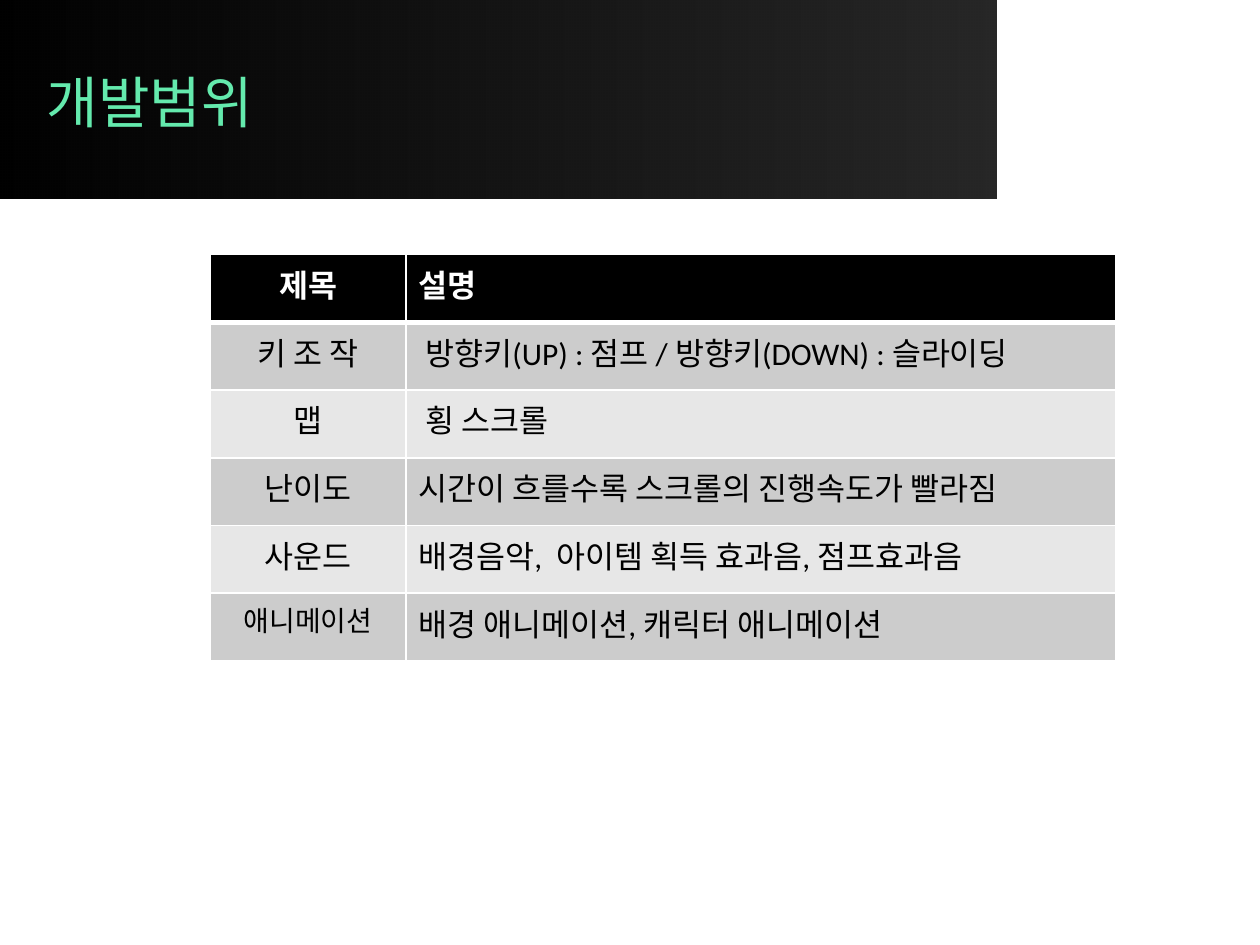
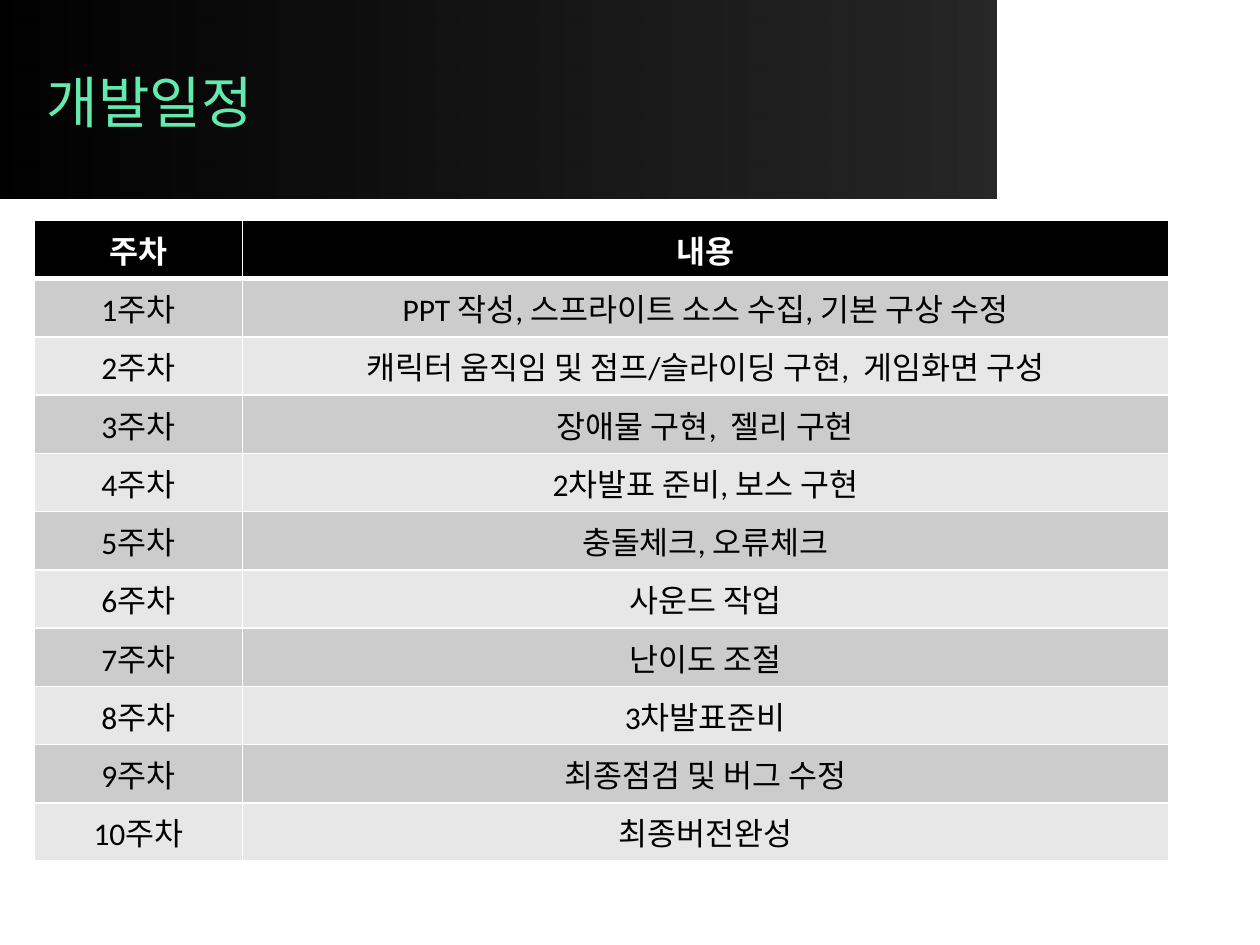
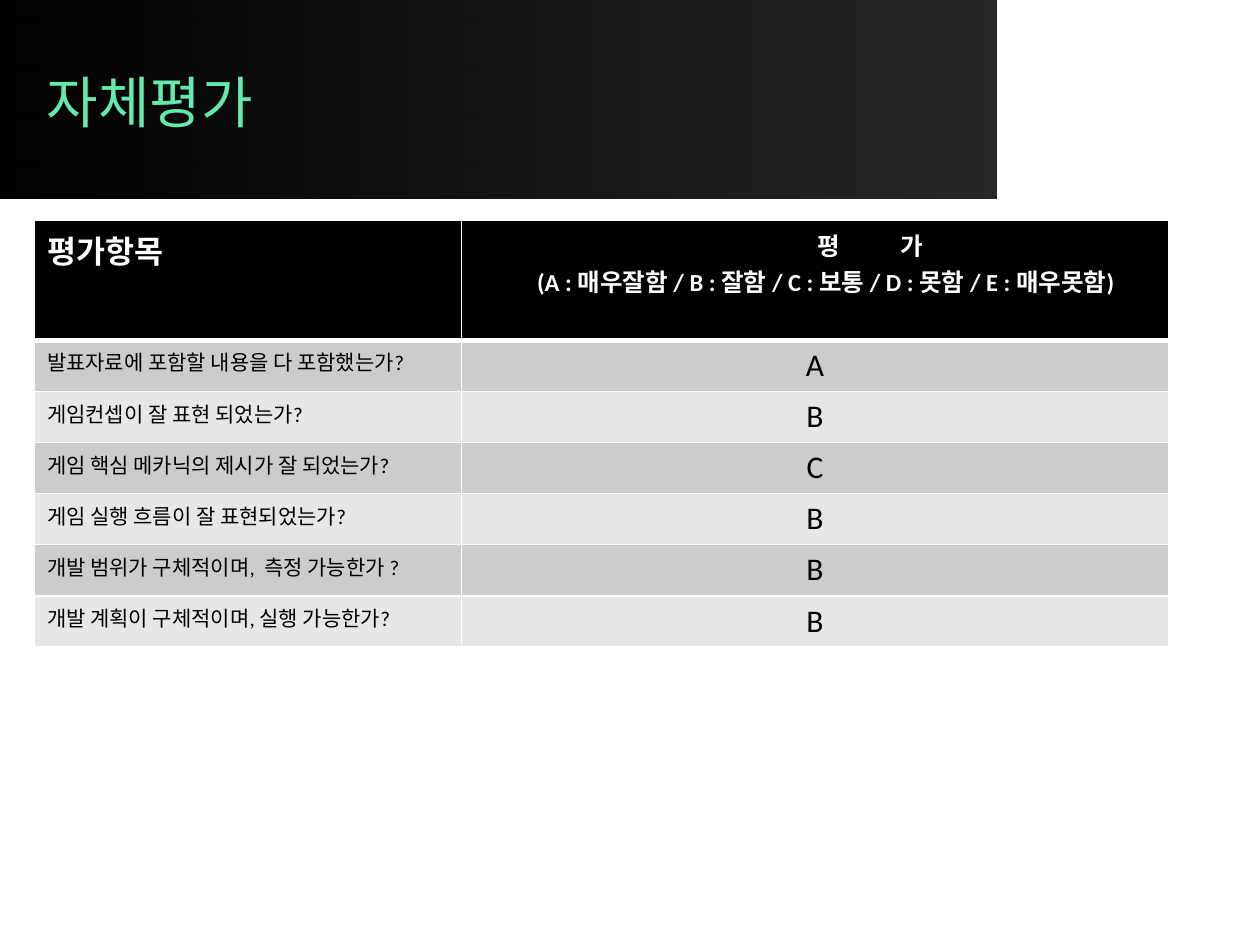
from lxml import etree
from pptx import Presentation
from pptx.dml.color import RGBColor
from pptx.enum import shapes, text
from pptx.oxml.ns import qn
from pptx.util import Pt

HUES = {"band": "000000", "title": "64EAAD", "head": "000000", "paper": "FFFFFF",
        "ink": "000000", "odd": "CCCCCC", "even": "E7E7E7"}
LEFT, MID = text.PP_ALIGN.LEFT, text.PP_ALIGN.CENTER
BAND = (0, 0, 569.5, 113.2)
TITLE = (19.6, 21.6, 538.6, 72.7)


def hue(name):
    return RGBColor.from_string(HUES[name])


def write(para, words, size, color, bold=False, font="Calibri"):
    run = para.add_run()
    run.text = words
    run.font.size, run.font.bold, run.font.name = Pt(size), bold, font
    run.font.color.rgb = hue(color)
    return run


def add_band(slide, box):
    """Black band that fades slightly to the right, behind the title."""
    band = slide.shapes.add_shape(shapes.MSO_SHAPE.RECTANGLE, *map(Pt, box))
    band.shadow.inherit = False
    band.line.fill.background()
    band.fill.gradient()
    band.fill.gradient_angle = 0
    for stop, place in zip(band.fill.gradient_stops, (0, 1)):
        stop.color.rgb = hue("band")
        stop.position = place
    last = band._element.findall(".//" + qn("a:srgbClr"))[-1]
    etree.SubElement(last, qn("a:alpha")).set("val", "85000")
    slide.shapes._spTree.insert(2, band._element)


def add_slide(deck, words):
    """Title-only slide with the shared band and title style."""
    slide = deck.slides.add_slide(deck.slide_layouts[5])
    add_band(slide, BAND)
    title = slide.shapes.title
    title.left, title.top, title.width, title.height = map(Pt, TITLE)
    frame = title.text_frame
    frame.vertical_anchor = text.MSO_ANCHOR.MIDDLE
    frame.paragraphs[0].alignment = LEFT
    write(frame.paragraphs[0], words, 32, "title", font="Arial")
    return slide


def add_edges(cell, above, below):
    """White cell borders; they come before the fill."""
    props = cell._tc.get_or_add_tcPr()
    for n, (side, wide) in enumerate(zip("LRTB", (1, 1, above, below))):
        line = etree.Element(qn("a:ln" + side), w=str(Pt(wide)))
        fill = etree.SubElement(line, qn("a:solidFill"))
        etree.SubElement(fill, qn("a:srgbClr"), val=HUES["paper"])
        props.insert(n, line)


def add_grid(slide, left, top, cols, high, rows, aligns, sizes=(18, 18)):
    """Banded table; a cell is its words, or a pair of words and size."""
    grid = slide.shapes.add_table(len(rows), len(cols), Pt(left), Pt(top),
                                  Pt(sum(cols)), Pt(high * len(rows))).table
    for col, wide in zip(grid.columns, cols):
        col.width = Pt(wide)
    for r, row in enumerate(rows):
        grid.rows[r].height = Pt(high)
        head = r == 0
        for c, item in enumerate(row):
            cell = grid.cell(r, c)
            cell.fill.solid()
            cell.fill.fore_color.rgb = hue("head" if head else "odd" if r % 2 else "even")
            add_edges(cell, 3 if r == 1 else 1, 3 if head else 1)
            if not item:
                continue
            words, size = item if isinstance(item, tuple) else (item, 18 if head else sizes[c])
            para = cell.text_frame.paragraphs[0]
            para.alignment = aligns[c]
            write(para, words, size, "paper" if head else "ink", head)
    return grid


def add_key(cell):
    """Two-line heading with the grading key, set by first-line indents."""
    top = cell.text_frame.paragraphs[0]
    key = cell.text_frame.add_paragraph()
    for para, indent in ((top, 196), (key, 36)):
        para.alignment = LEFT
        props = para._p.get_or_add_pPr()
        props.set("marL", "0")
        props.set("indent", str(Pt(indent)))
    # Letter spacing sets the two syllables apart
    first = write(top, "평", 14, "paper", True)
    first.font._element.set("spc", "3500")
    write(top, "가", 14, "paper", True)
    write(key, "(A : 매우잘함 / B : 잘함 / C : 보통 / D : 못함 / E : 매우못함)",
          14, "paper", True)


def add_scope(deck):
    slide = add_slide(deck, "개발범위")
    rows = [("제목", "설명"),
            ("키 조 작", " 방향키(UP) : 점프 / 방향키(DOWN) : 슬라이딩"),
            ("맵", " 횡 스크롤"),
            ("난이도", "시간이 흐를수록 스크롤의 진행속도가 빨라짐"),
            ("사운드", "배경음악,  아이템 획득 효과음, 점프효과음"),
            (("애니메이션", 16), "배경 애니메이션, 캐릭터 애니메이션")]
    add_grid(slide, 120.3, 145.5, (111.6, 405.4), 38.7, rows, (MID, LEFT))


def add_plan(deck):
    slide = add_slide(deck, "개발일정")
    tasks = ["PPT 작성, 스프라이트 소스 수집, 기본 구상 수정",
             "캐릭터 움직임 및 점프/슬라이딩 구현,  게임화면 구성",
             "장애물 구현,  젤리 구현", "2차발표 준비, 보스 구현",
             "충돌체크, 오류체크", "사운드 작업", "난이도 조절",
             "3차발표준비", "최종점검 및 버그 수정", "최종버전완성"]
    rows = [("주차", "내용")] + [(f"{n}주차", task) for n, task in enumerate(tasks, 1)]
    add_grid(slide, 19.7, 126, (118.8, 529.2), 29.2, rows, (MID, MID))


def add_review(deck):
    slide = add_slide(deck, "자체평가")
    rows = [("평가항목", ""),
            ("발표자료에 포함할 내용을 다 포함했는가?", "A"),
            ("게임컨셉이 잘 표현 되었는가?", "B"),
            ("게임 핵심 메카닉의 제시가 잘 되었는가?", "C"),
            ("게임 실행 흐름이 잘 표현되었는가?", "B"),
            ("개발 범위가 구체적이며,  측정 가능한가 ?", "B"),
            ("개발 계획이 구체적이며, 실행 가능한가?", "B")]
    grid = add_grid(slide, 19.7, 126, (244, 404), 29.2, rows, (LEFT, MID), (12, 18))
    add_key(grid.cell(0, 1))


def main():
    deck = Presentation()
    deck.slide_width, deck.slide_height = Pt(720), Pt(540)
    for build in (add_scope, add_plan, add_review):
        build(deck)
    deck.save("out.pptx")


if __name__ == "__main__":
    main()
